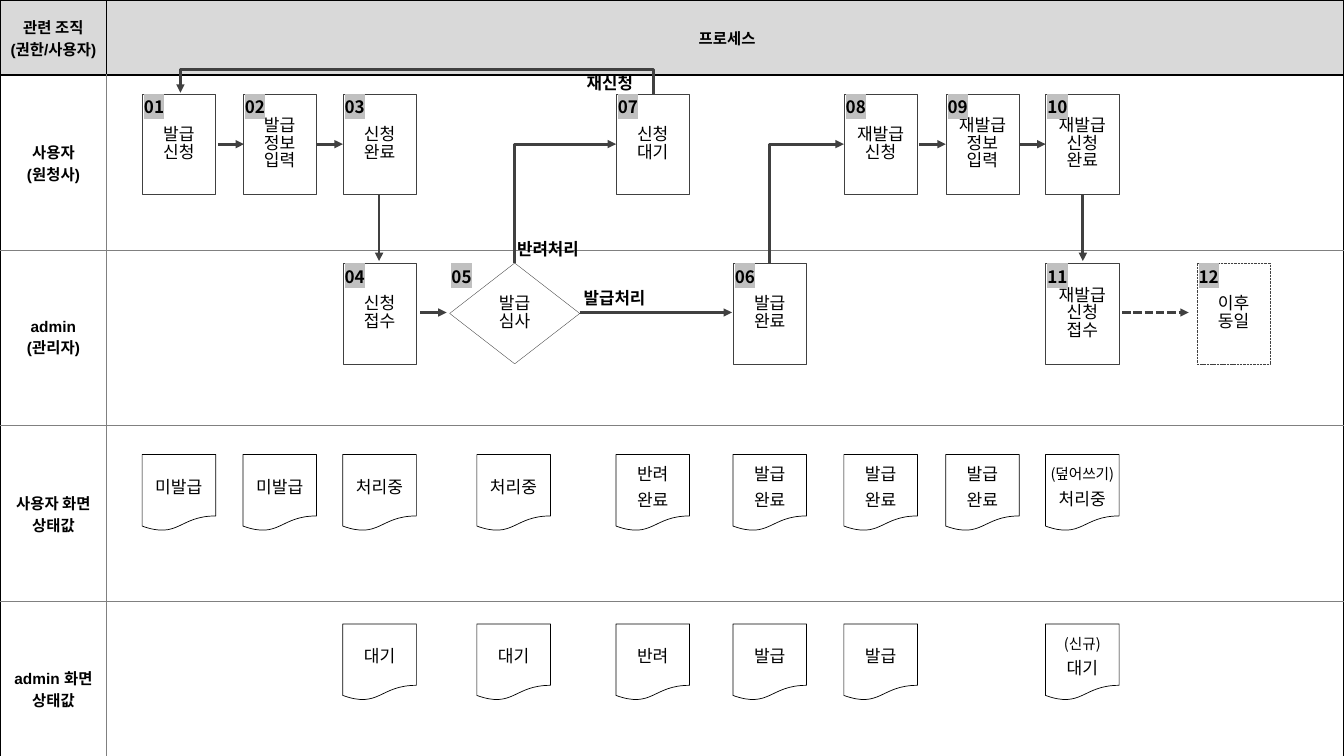
from lxml.etree import SubElement
from pptx import Presentation
from pptx.dml.color import RGBColor
from pptx.enum.dml import MSO_LINE
from pptx.enum.shapes import MSO_CONNECTOR, MSO_SHAPE
from pptx.enum.text import MSO_ANCHOR, MSO_AUTO_SIZE, PP_ALIGN
from pptx.oxml.ns import qn
from pptx.util import Pt

# Content
FONT = "Noto Sans CJK KR"
LANES = ["사용자\n(원청사)", "admin\n(관리자)", "사용자 화면\n상태값", "admin 화면\n상태값"]
ROWS = [("관련 조직\v(권한/사용자)", " 프로세스")] + [(lane, "") for lane in LANES]
COLS = [141, 241, 340, 473, 611, 727, 837, 938, 1037, 1187]
USER, ADMIN = 93, 261
STEPS = [  # number, column, top, text
    ("01", 0, USER, "발급\n신청"),
    ("02", 1, USER, "발급\n정보\n입력"),
    ("03", 2, USER, "신청\n완료"),
    ("04", 2, ADMIN, "신청\n접수"),
    ("05", 3, ADMIN, "발급심사"),
    ("06", 5, ADMIN, "발급\n완료"),
    ("07", 4, USER, "신청\n대기"),
    ("08", 6, USER, "재발급\n신청"),
    ("09", 7, USER, "재발급\n정보\n입력"),
    ("10", 8, USER, "재발급\n신청\n완료"),
    ("11", 8, ADMIN, "재발급\n신청\n접수"),
    ("12", 9, ADMIN, "이후\n동일"),
]
STATES = {  # top: text by column
    451: ["미발급", "미발급", "처리중", "처리중", "반려\n완료", "발급\n완료",
          "발급\n완료", "발급\n완료", "(덮어쓰기)\n처리중"],
    619: ["", "", "대기", "대기", "반려", "발급", "발급", "", "(신규)\n대기"],
}
NOTES = [("발급처리", 569, 281, 88), ("반려처리", 503, 232, 88), ("재신청", 572, 67, 71)]
ARROWS = [  # from, to
    ((216, 143), (242, 143)), ((314, 143), (340, 143)),
    ((376, 193), (376, 259)), ((417, 310), (443, 310)),
    ((575, 310), (726, 310)), ((912, 143), (938, 143)),
    ((1011, 143), (1037, 143)), ((1074, 193), (1074, 259)),
]
DASHED = ((1113, 310), (1179, 310))
BENDS = [((510, 261), (611, 143)), ((763, 261), (837, 143))]
LOOP, RISE = ((648, 94), (179, 92)), 25

BOX_W, BOX_H, DOC_H, GEM_W = 73, 100, 76, 129


def px(n):
    return round(n * 9144)


def color(code):
    return RGBColor.from_string(code)


deck = Presentation()
deck.slide_width, deck.slide_height = px(1333), px(750)
slide = deck.slides.add_slide(deck.slide_layouts[6])
shapes = slide.shapes


def style(par, size, name=FONT, bold=False, align=PP_ALIGN.CENTER):
    font = par.font
    font.size, font.name, font.bold = Pt(size), name, bold
    font.color.rgb = color("000000")
    par.alignment = align


def node(kind, x, y, w, h, text, line, fill=None):
    shape = shapes.add_shape(kind, px(x), px(y), px(w), px(h))
    shape.shadow.inherit = False
    if fill:
        shape.fill.solid()
        shape.fill.fore_color.rgb = color(fill)
    else:
        shape.fill.background()
    shape.line.color.rgb = color(line[0])
    shape.line.width = Pt(line[1])
    frame = shape.text_frame
    frame.word_wrap = True
    frame.vertical_anchor = MSO_ANCHOR.MIDDLE
    frame.text = text
    for par in frame.paragraphs:
        style(par, 12.2)
        par.line_spacing = 0.85
    return shape


def label(text, x, y, w, h, size):
    frame = shapes.add_textbox(px(x), px(y), px(w), px(h)).text_frame
    frame.word_wrap = False
    frame.auto_size = MSO_AUTO_SIZE.SHAPE_TO_FIT_TEXT
    frame.text = text
    par = frame.paragraphs[0]
    style(par, size, bold=True, align=PP_ALIGN.LEFT)
    return par


def arrow(start, end, kind=MSO_CONNECTOR.STRAIGHT):
    link = shapes.add_connector(kind, *map(px, start + end))
    link.line.color.rgb = color("404040")
    link.line.width = Pt(0)
    SubElement(link.line._get_or_add_ln(), qn("a:tailEnd"), type="triangle")
    SubElement(link._element.spPr, qn("a:effectLst"))
    return link


def bend(start, end, turn, preset):
    """Elbow whose unturned frame is found by turning its ends back."""
    mid = [(a + b) / 2 for a, b in zip(start, end)]
    sign = 1 if turn == 90 else -1
    ends = [(mid[0] + sign * (y - mid[1]), mid[1] - sign * (x - mid[0]))
            for x, y in (start, end)]
    link = arrow(*ends, MSO_CONNECTOR.ELBOW)
    props = link._element.spPr
    props.find(qn("a:xfrm")).set("rot", str(turn * 60000))
    shape = props.find(qn("a:prstGeom"))
    shape.set("prst", preset)
    return shape.find(qn("a:avLst"))


def edge(cell, side, code):
    line = SubElement(cell._tc.get_or_add_tcPr(), qn("a:ln" + side), w=str(Pt(1)))
    fill = SubElement(line, qn("a:solidFill"))
    SubElement(fill, qn("a:srgbClr"), val=code)


# Swimlane table
table = shapes.add_table(5, 2, 0, 0, px(1333), px(750)).table
table.first_row = table.horz_banding = False
table.columns[0].width, table.columns[1].width = px(106), px(1227)
for r, texts in enumerate(ROWS):
    table.rows[r].height = px(174 if r else 53)
    for c, text in enumerate(texts):
        cell = table.cell(r, c)
        black = {"L": c == 0, "R": c == 1, "T": r < 2, "B": r == 0}
        for side, dark in black.items():
            edge(cell, side, "000000" if dark or r == 0 else "808080")
        cell.fill.solid()
        cell.fill.fore_color.rgb = color("FFFFFF" if r else "D9D9D9")
        cell.vertical_anchor = MSO_ANCHOR.MIDDLE
        cell.margin_left = cell.margin_right = px(8)
        cell.margin_top = cell.margin_bottom = px(4)
        cell.text = text
        for par in cell.text_frame.paragraphs:
            style(par, 11, "Arial", True)

# Numbered steps
for num, col, top, text in STEPS:
    x, w, kind = COLS[col], BOX_W, MSO_SHAPE.RECTANGLE
    if num == "05":
        x, w, kind = 446, GEM_W, MSO_SHAPE.DIAMOND
    box = node(kind, x, top, w, BOX_H, text, ("404040", 0.25))
    if num == "12":
        box.line.dash_style = MSO_LINE.SQUARE_DOT
    par = label(num, x - 8, top - 2, 40, 31, 12.2)
    mark = SubElement(par.runs[0].font._element, qn("a:highlight"))
    SubElement(mark, qn("a:srgbClr"), val="C0C0C0")

# Screen states
for top, texts in STATES.items():
    for x, text in zip(COLS, texts):
        if not text:
            continue
        doc = node(MSO_SHAPE.FLOWCHART_DOCUMENT, x, top, BOX_W, DOC_H, text,
                   ("000000", 0.5), "FFFFFF")
        frame = doc.text_frame
        frame.margin_left = frame.margin_right = 0
        frame.margin_top, frame.margin_bottom = px(11), px(5)
        for par in frame.paragraphs:
            par.space_before = Pt(6)
            if par.text.startswith("("):
                par.font.size = Pt(10.5)

# Arrows
for start, end in ARROWS:
    arrow(start, end)
arrow(*DASHED).line.dash_style = MSO_LINE.SQUARE_DOT
for start, end in BENDS:
    bend(start, end, 90, "bentConnector2")
guides = bend(*LOOP, 270, "bentConnector3")
ratio = RISE / (LOOP[0][1] - LOOP[1][1])
SubElement(guides, qn("a:gd"), name="adj1", fmla=f"val {round(ratio * 100000)}")

# Branch notes
for text, x, y, w in NOTES:
    label(text, x, y, w, 30, 12)

deck.save("out.pptx")
